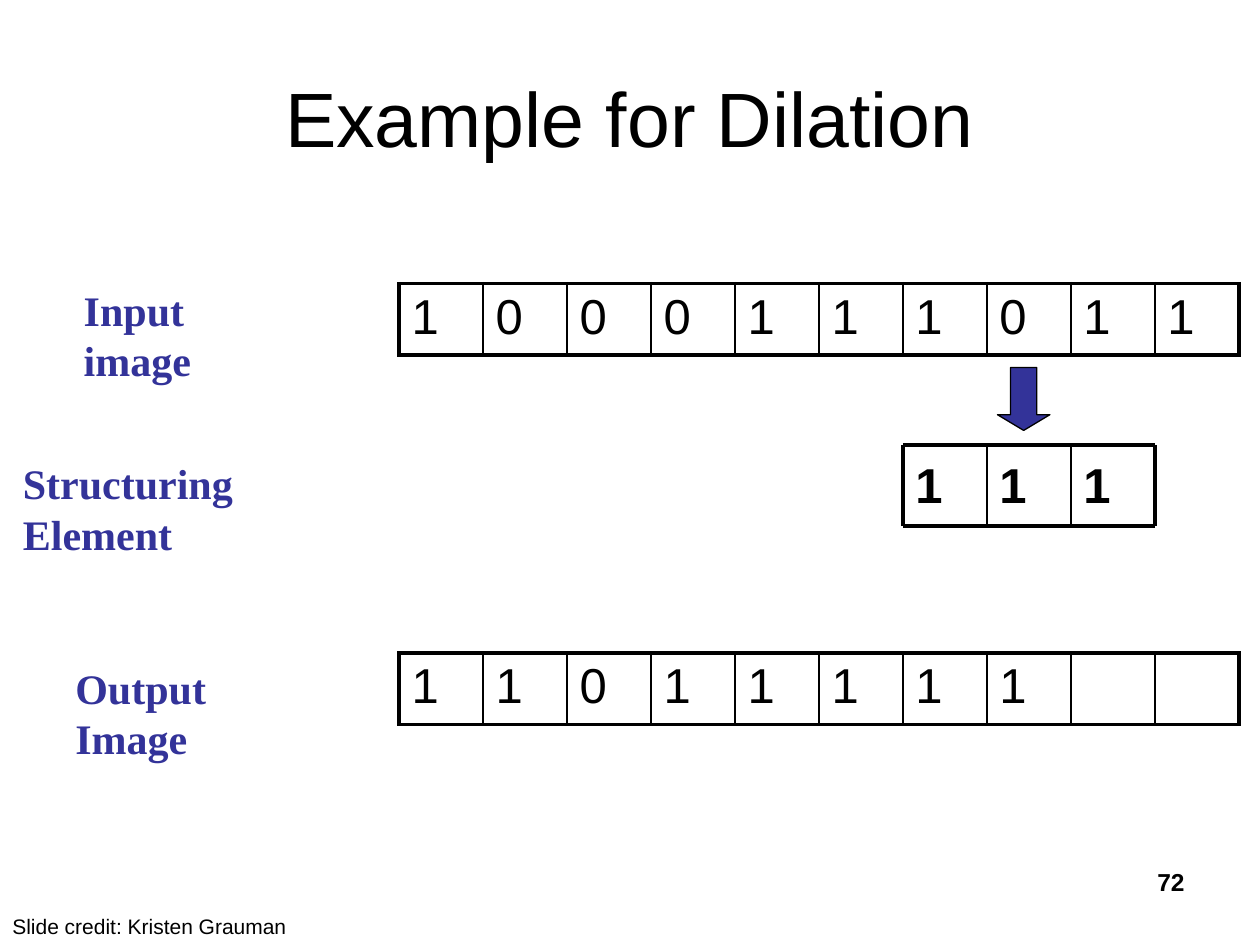
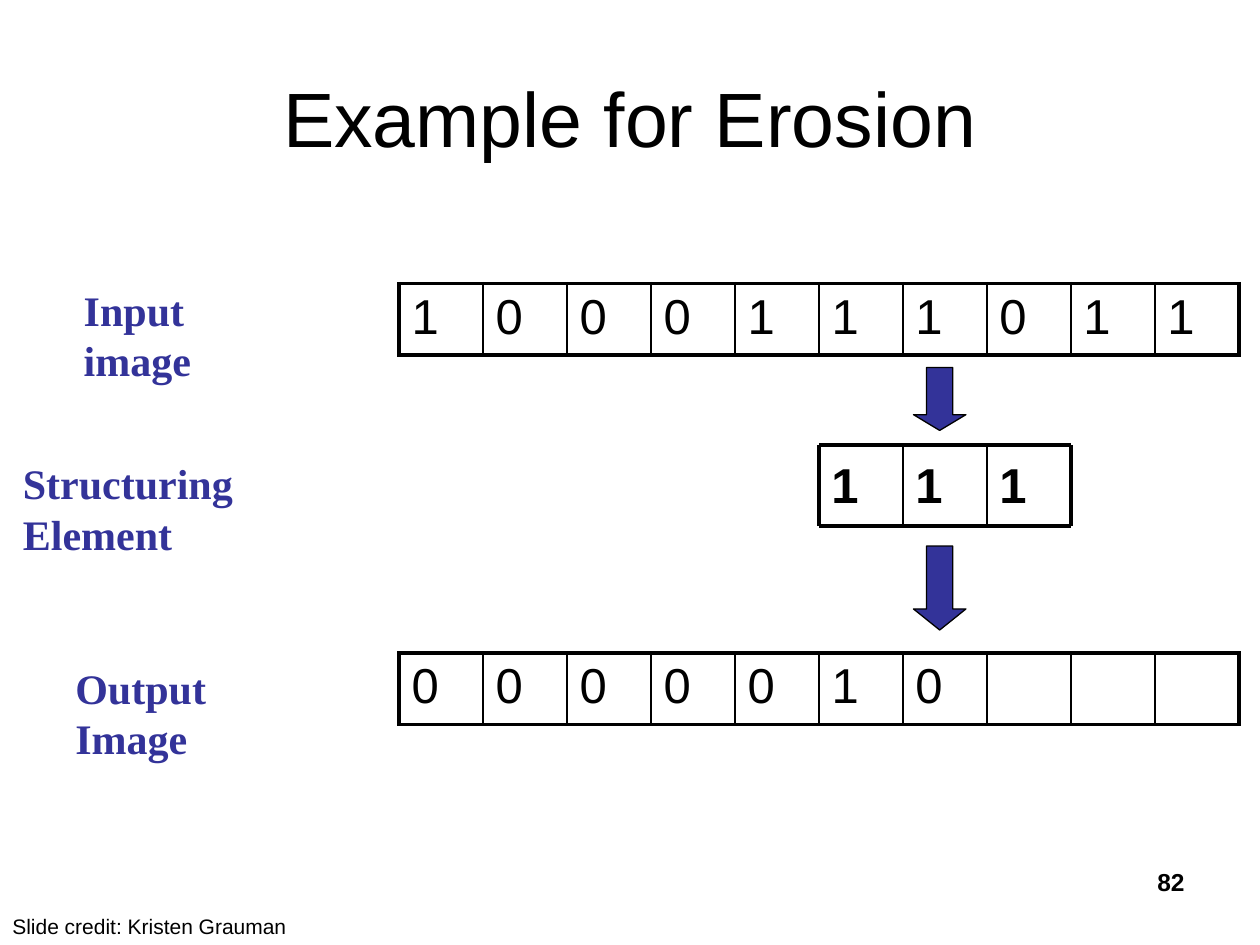
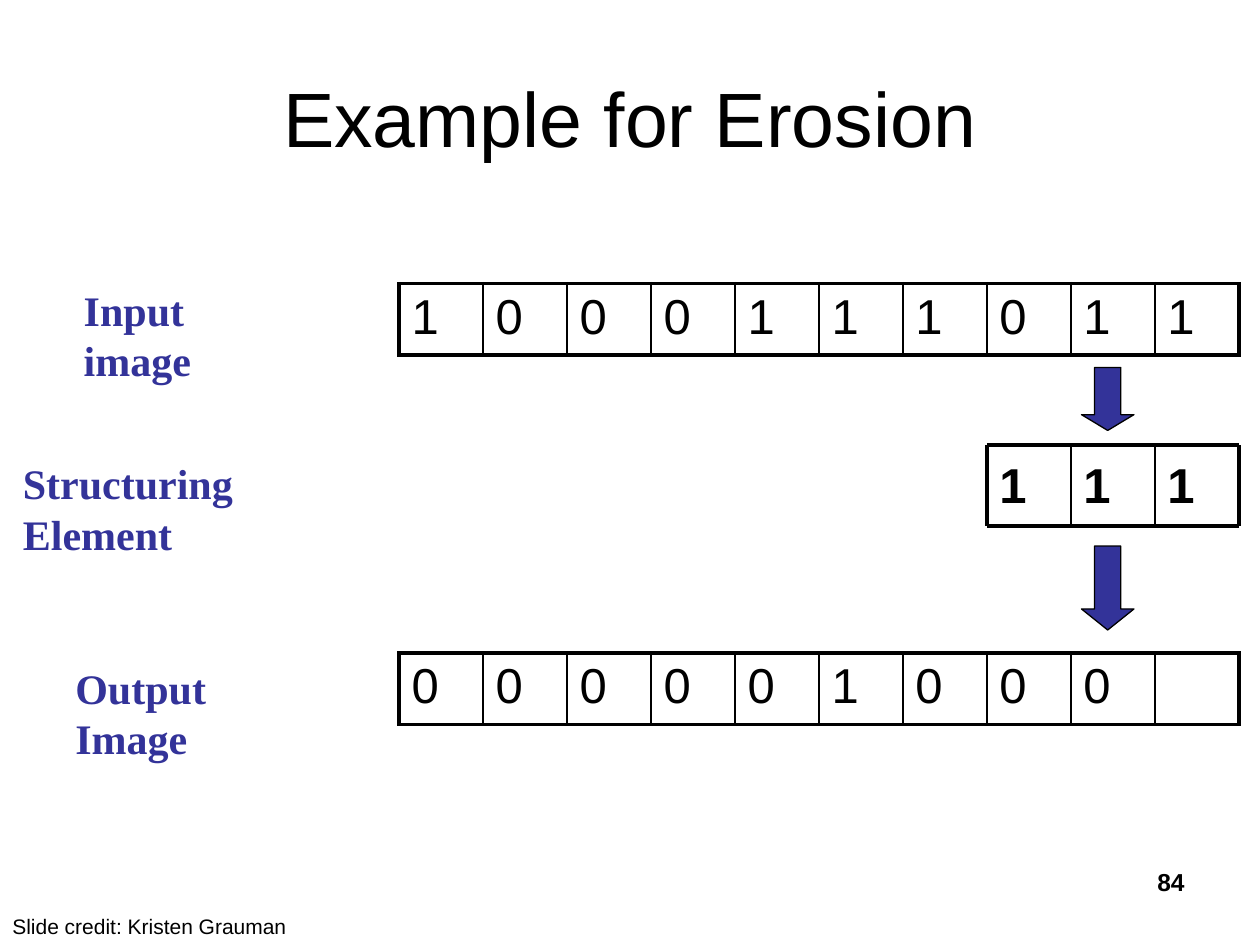
from lxml import etree
from pptx import Presentation
from pptx import util as u
from pptx.dml.color import RGBColor
from pptx.enum import shapes, text
from pptx.oxml import ns

PX = 7620
BLACK, BLUE = "000000", "333399"
SANS, SERIF = "Arial", "Times New Roman"
THICK, THIN, OUTLINE = 2.25, 1, 0.75
CELL, COLUMNS, WINDOW = 80, 10, 3
GRID_LEFT = 380
INPUT_TOP, ELEMENT_TOP, OUTPUT_TOP = 270, 424, 622
ROW_HEIGHT, ELEMENT_HEIGHT = 68, 77
INPUT = "1000111011"
LABELS = [
    ("Input image", (68, 265, 216, 60)),
    ("Structuring Element", (10, 430, 347, 60)),
    ("Output Image", (60, 625, 245, 60)),
]
STEPS = [
    ("Example for Dilation", "11011111", 6, False, "72"),
    ("Example for Erosion", "0000010", 5, True, "82"),
    ("Example for Erosion", "000001000", 7, True, "84"),
]


def px(*lengths):
    return [u.Emu(length * PX) for length in lengths]


def color(value):
    return RGBColor.from_string(value)


def write(frame, words, size, font=SANS, ink=BLACK, bold=False, align=text.PP_ALIGN.LEFT):
    paragraph = frame.paragraphs[0]
    paragraph.alignment = align
    run = paragraph.add_run()
    run.text = words
    run.font.size = u.Pt(size)
    run.font.name = font
    run.font.bold = bold
    run.font.color.rgb = color(ink)


def add_words(slide, box, words, size, anchor=text.MSO_ANCHOR.TOP, top=6, **style):
    frame = slide.shapes.add_textbox(*px(*box)).text_frame
    frame.word_wrap = True
    frame.vertical_anchor = anchor
    frame.margin_top = px(top)[0]
    write(frame, words, size, **style)


def add_border(cell, side, width):
    line = etree.SubElement(cell._tc.get_or_add_tcPr(), ns.qn(f"a:ln{side}"), w=str(u.Pt(width)))
    fill = etree.SubElement(line, ns.qn("a:solidFill"))
    etree.SubElement(fill, ns.qn("a:srgbClr"), val=BLACK)


def add_pixel_row(slide, top, pixels):
    box = px(GRID_LEFT, top, COLUMNS * CELL, ROW_HEIGHT)
    table = slide.shapes.add_table(1, COLUMNS, *box).table
    table.first_row = table.horz_banding = False
    for column, pixel in enumerate(pixels.ljust(COLUMNS)):
        cell = table.cell(0, column)
        add_border(cell, "L", THIN if column else THICK)
        add_border(cell, "R", THIN if column < COLUMNS - 1 else THICK)
        add_border(cell, "T", THICK)
        add_border(cell, "B", THICK)
        cell.fill.background()
        write(cell.text_frame, pixel.strip(), 28)


def add_line(slide, start, end, width):
    line = slide.shapes.add_connector(shapes.MSO_CONNECTOR.STRAIGHT, *px(*start, *end))
    line.line.color.rgb = color(BLACK)
    line.line.width = u.Pt(width)
    etree.SubElement(line._element.spPr, ns.qn("a:effectLst"))


def add_structuring_element(slide, left, top):
    right, bottom = left + WINDOW * CELL, top + ELEMENT_HEIGHT
    for column in range(WINDOW):
        box = (left + column * CELL, top, CELL, ELEMENT_HEIGHT)
        add_words(slide, box, "1", 28, bold=True, top=9)
    for y in (top, bottom):
        add_line(slide, (left, y), (right, y), THICK)
    for column in range(WINDOW + 1):
        x = left + column * CELL
        add_line(slide, (x, top), (x, bottom), THIN if 0 < column < WINDOW else THICK)


def add_arrow(slide, left, top, height, head):
    arrow = slide.shapes.add_shape(shapes.MSO_SHAPE.DOWN_ARROW, *px(left, top, 50, height))
    arrow.shadow.inherit = False
    arrow.adjustments[0] = 0.5
    arrow.adjustments[1] = head
    arrow.fill.solid()
    arrow.fill.fore_color.rgb = color(BLUE)
    arrow.line.color.rgb = color(BLACK)
    arrow.line.width = u.Pt(OUTLINE)


def add_frame(slide, title, number):
    add_words(slide, (60, 36, 1080, 150), title, 44,
              anchor=text.MSO_ANCHOR.MIDDLE, align=text.PP_ALIGN.CENTER)
    for label, box in LABELS:
        add_words(slide, box, label, 24, font=SERIF, ink=BLUE, bold=True)
    add_words(slide, (0, 864, 550, 36), "Slide credit: Kristen Grauman", 12)
    add_words(slide, (860, 820, 280, 62), number, 14, bold=True, align=text.PP_ALIGN.RIGHT)


def add_step(slide, title, output, position, shows_result, number):
    add_frame(slide, title, number)
    add_pixel_row(slide, INPUT_TOP, INPUT)
    add_pixel_row(slide, OUTPUT_TOP, output)
    element_left = GRID_LEFT + position * CELL
    add_structuring_element(slide, element_left, ELEMENT_TOP)
    if shows_result:
        add_arrow(slide, element_left + 90, 520, 80, 0.4)
    add_arrow(slide, element_left + 90, 350, 60, 0.3)


def main():
    deck = Presentation()
    deck.slide_width, deck.slide_height = px(1200, 900)
    for step in STEPS:
        add_step(deck.slides.add_slide(deck.slide_layouts[6]), *step)
    deck.save("out.pptx")


if __name__ == "__main__":
    main()
